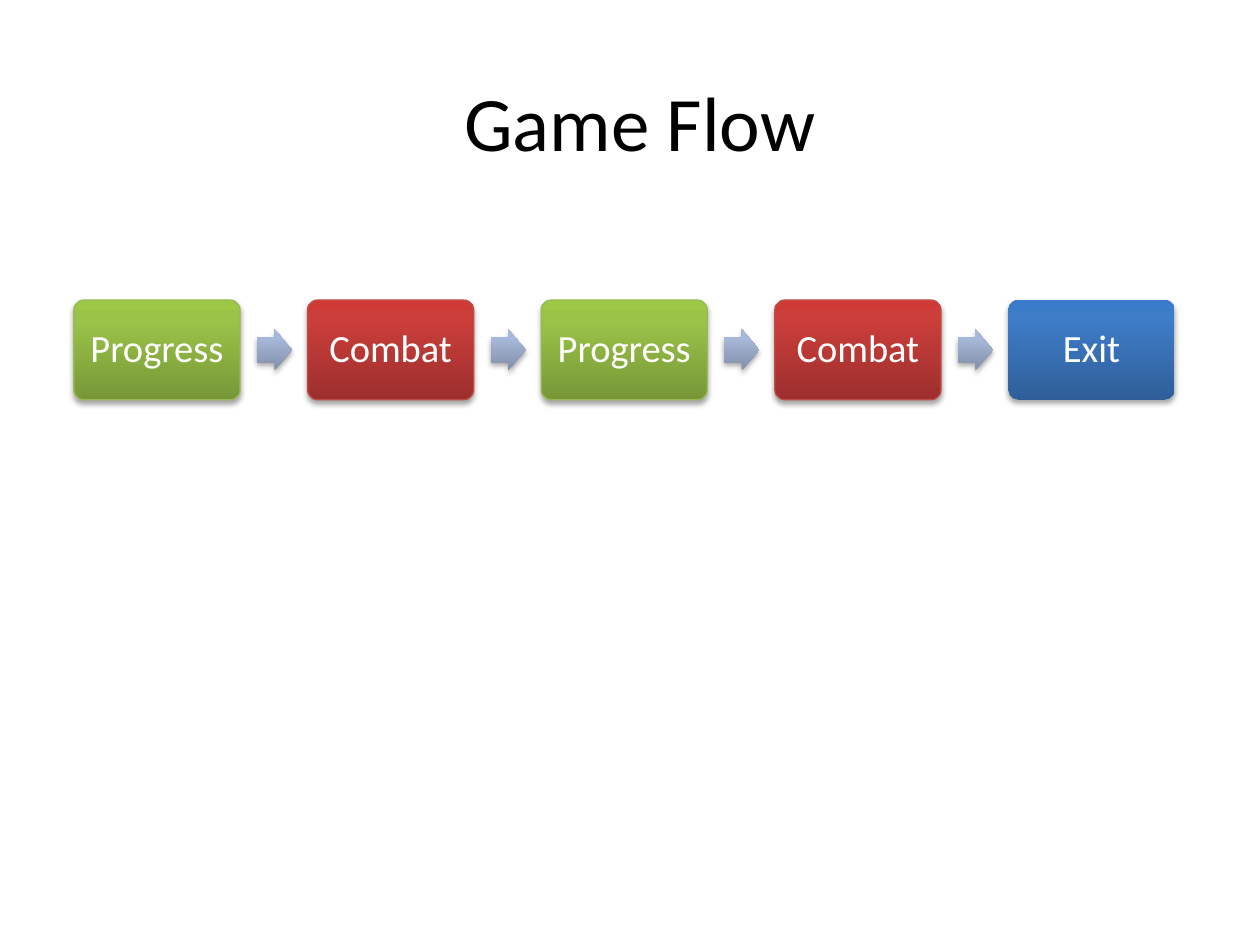
import copy
from dataclasses import dataclass

import lxml.etree
import pptx
import pptx.dml.color
import pptx.enum.shapes
import pptx.enum.text
import pptx.oxml.ns
import pptx.util

Cm = pptx.util.Cm
RGBColor = pptx.dml.color.RGBColor
MSO_SHAPE = pptx.enum.shapes.MSO_SHAPE
qn = pptx.oxml.ns.qn


@dataclass(frozen=True)
class Theme:
    font: str = "Calibri"
    title_size: int = 44
    step_size: int = 22
    title_color: str = "000000"
    step_text_color: str = "FFFFFF"
    shadow_color: str = "000000"
    green: tuple = ("779737", "9BC348", "9DC746")
    red: tuple = ("9C2F2D", "CB3E3A", "CE3B37")
    blue: tuple = ("2F5F99", "3D7CC7", "3A7CCB")
    arrow: tuple = ("818FA8", "A7B9DA", "A7BADC")
    green_line: str = "98B955"
    red_line: str = "BF4C48"


def style_shape(shape, gradient, line_color=None):
    shape.fill.gradient()
    shape.fill.gradient_angle = 90
    stop_list = shape._element.spPr.find(".//" + qn("a:gsLst"))
    stop_list.append(copy.deepcopy(stop_list[-1]))
    for stop, color, position in zip(shape.fill.gradient_stops, gradient, (0, 0.8, 1)):
        stop.color.rgb = RGBColor.from_string(color)
        stop.position = position
    if line_color:
        shape.line.color.rgb = RGBColor.from_string(line_color)
        shape.line.width = pptx.util.Pt(0.75)
    else:
        shape.line.fill.background()
    shape.shadow.inherit = False
    effects = shape._element.spPr.find(qn("a:effectLst"))
    shadow = lxml.etree.SubElement(effects, qn("a:outerShdw"), blurRad="40000",
                                   dist="23000", dir="5400000", rotWithShape="0")
    color = lxml.etree.SubElement(shadow, qn("a:srgbClr"), val=theme.shadow_color)
    lxml.etree.SubElement(color, qn("a:alpha"), val="35000")


def write_text(shape, text, size, color):
    shape.text_frame.text = text
    shape.text_frame.word_wrap = True
    shape.text_frame.vertical_anchor = pptx.enum.text.MSO_ANCHOR.MIDDLE
    paragraph = shape.text_frame.paragraphs[0]
    paragraph.alignment = pptx.enum.text.PP_ALIGN.CENTER
    paragraph.font.name = theme.font
    paragraph.font.size = pptx.util.Pt(size)
    paragraph.font.color.rgb = RGBColor.from_string(color)
    return paragraph


theme = Theme()
presentation = pptx.Presentation()
presentation.slide_width = Cm(25.4)
presentation.slide_height = Cm(19.05)
slide = presentation.slides.add_slide(presentation.slide_layouts[5])

title = slide.shapes.title
title.left, title.top, title.width, title.height = Cm(1.47), Cm(0.84), Cm(22.86), Cm(3.18)
write_text(title, "Game Flow", theme.title_size, theme.title_color)

progress = ("Progress", theme.green, theme.green_line)
combat = ("Combat", theme.red, theme.red_line)
leave = ("Exit", theme.blue, None)
steps = [progress, combat, progress, combat, leave]

flow_left, flow_top, pitch = 1.49, 6.05, 4.71
step_width, step_height = 3.35, 2.01
arrow_offset, arrow_width, arrow_height = 3.69, 0.71, 0.83
arrow_top = flow_top + (step_height - arrow_height) / 2

flow = slide.shapes.add_group_shape()
for index, (label, gradient, line_color) in enumerate(steps):
    left = flow_left + index * pitch
    step = flow.shapes.add_shape(MSO_SHAPE.ROUNDED_RECTANGLE, Cm(left), Cm(flow_top),
                                 Cm(step_width), Cm(step_height))
    step.adjustments[0] = 0.1
    style_shape(step, gradient, line_color)
    frame = step.text_frame
    frame.margin_left = frame.margin_right = frame.margin_top = frame.margin_bottom = Cm(0.23)
    paragraph = write_text(step, label, theme.step_size, theme.step_text_color)
    paragraph.line_spacing = 0.9
    if index < len(steps) - 1:
        arrow = flow.shapes.add_shape(MSO_SHAPE.RIGHT_ARROW, Cm(left + arrow_offset),
                                      Cm(arrow_top), Cm(arrow_width), Cm(arrow_height))
        arrow.adjustments[0] = 0.6
        arrow.adjustments[1] = 0.5
        style_shape(arrow, theme.arrow)

presentation.save("out.pptx")
